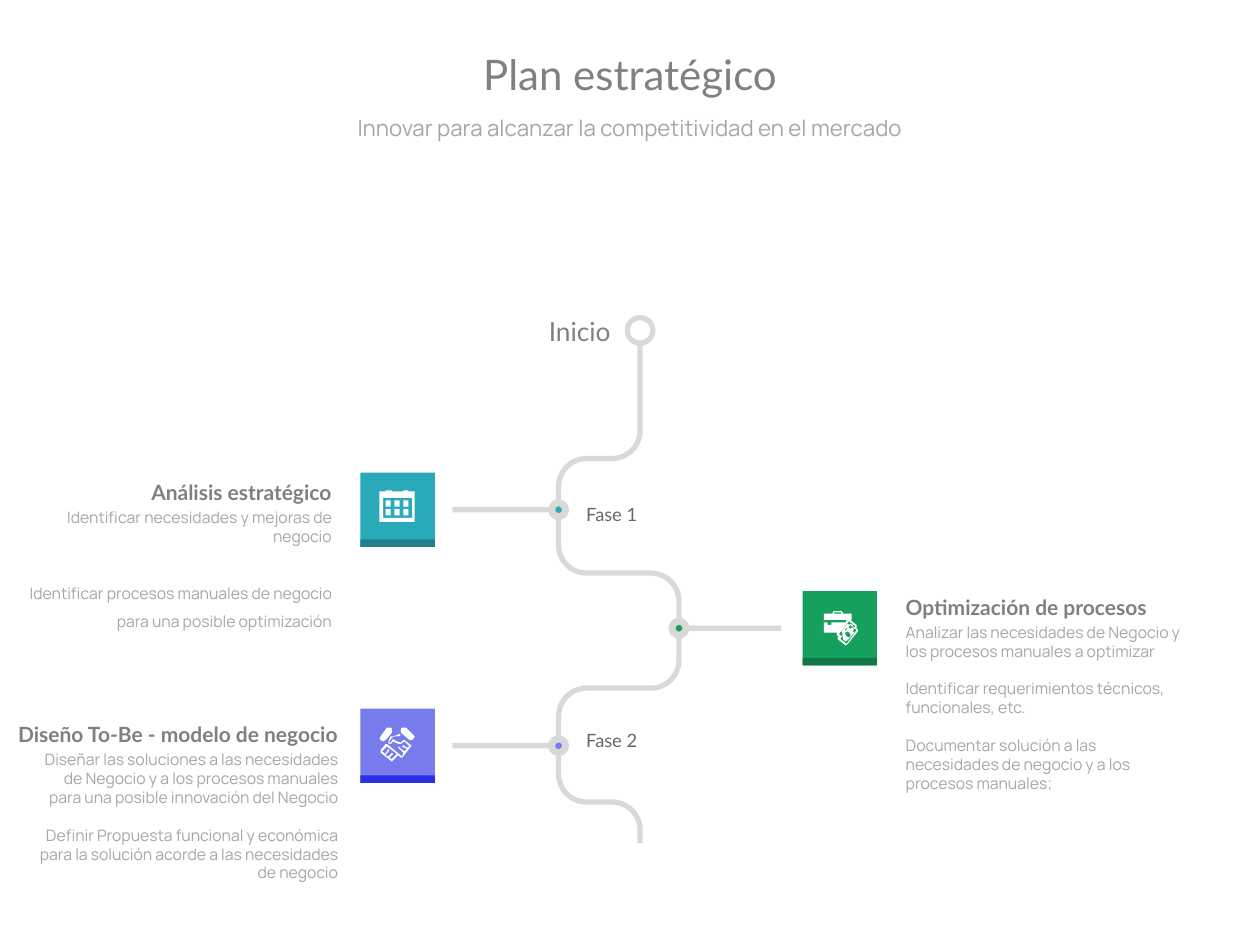
import math
from dataclasses import dataclass

from pptx import Presentation
from pptx import util as u
from pptx.dml.color import RGBColor
from pptx.enum import shapes, text

Pt = u.Pt
Point = tuple[float, float]
Contour = list[Point]
SHAPE = shapes.MSO_SHAPE
ALIGN = text.PP_ALIGN
GREY, TITLE, BODY, PHASE, WHITE = "D9D9D9", "808080", "A6A6A6", "676868", "FFFFFF"
LEFT_X, MIDDLE_X, RIGHT_X = 319.2, 365.8, 388
TILE, TILE_BASE, BAR = 42.5, 4.3, 3
ARM, DOT = 59, 8
ICON_UNIT, ROAD_UNIT = 0.72, 0.01


@dataclass
class Label:
    x: float
    y: float
    w: float
    h: float
    paragraphs: list[str]
    size: float
    font: str
    color: str
    align: ALIGN = ALIGN.LEFT
    bold: bool = False
    inset: bool = True
    wrap: bool = False
    grow: bool = True
    spacing: float = 1
    gap: float = 0
    anchor: text.MSO_ANCHOR = text.MSO_ANCHOR.TOP


@dataclass
class Phase:
    x: float
    y: float
    arm_x: float
    tile_x: float
    color: str
    dark: str
    icon: list[Contour]
    icon_dx: float
    icon_dy: float
    labels: list[Label]


def rgb(value: str) -> RGBColor:
    return RGBColor.from_string(value)


def box(x: float, y: float, w: float, h: float) -> Contour:
    return [(x, y), (x + w, y), (x + w, y + h), (x, y + h)]


def add_shape(s, kind: SHAPE, x: float, y: float, w: float, h: float,
              fill: str, line: str | None = None):
    sp = s.shapes.add_shape(kind, Pt(x), Pt(y), Pt(w), Pt(h))
    sp.shadow.inherit = False
    sp.fill.solid()
    sp.fill.fore_color.rgb = rgb(fill)
    if line:
        sp.line.color.rgb = rgb(line)
        sp.line.width = Pt(4)
    else:
        sp.line.fill.background()
    return sp


def add_label(s, label: Label) -> None:
    sp = s.shapes.add_textbox(Pt(label.x), Pt(label.y), Pt(label.w), Pt(label.h))
    tf = sp.text_frame
    tf.word_wrap = label.wrap
    tf.vertical_anchor = label.anchor
    if label.grow:
        tf.auto_size = text.MSO_AUTO_SIZE.SHAPE_TO_FIT_TEXT
    if not label.inset:
        tf.margin_left = tf.margin_right = tf.margin_top = tf.margin_bottom = 0
    for i, content in enumerate(label.paragraphs):
        p = tf.add_paragraph() if i else tf.paragraphs[0]
        p.text = content
        p.alignment = label.align
        if i or len(label.paragraphs) == 1:
            p.line_spacing = label.spacing
        if i:
            p.space_before = Pt(label.gap)
        p.font.size = Pt(label.size)
        p.font.name = label.font
        p.font.bold = label.bold
        p.font.color.rgb = rgb(label.color)


def add_icon(s, contours: list[Contour], x: float, y: float) -> None:
    first, *rest = contours
    fb = s.shapes.build_freeform(*first[0], scale=Pt(ICON_UNIT))
    fb.add_line_segments(first[1:])
    for contour in rest:
        fb.move_to(*contour[0])
        fb.add_line_segments(contour[1:])
    sp = fb.convert_to_shape(Pt(x), Pt(y))
    sp.shadow.inherit = False
    sp.fill.solid()
    sp.fill.fore_color.rgb = rgb(WHITE)
    sp.line.fill.background()


def round_corners(corners: Contour, radius: float = 16, steps: int = 12) -> Contour:
    points = [corners[0]]
    for before, corner, after in zip(corners, corners[1:], corners[2:]):
        (ax, ay), (bx, by) = [
            ((end[0] - corner[0]) / math.dist(end, corner),
             (end[1] - corner[1]) / math.dist(end, corner))
            for end in (before, after)
        ]
        for i in range(steps + 1):
            angle = math.pi / 2 * i / steps
            a, b = radius * (1 - math.sin(angle)), radius * (1 - math.cos(angle))
            points.append((corner[0] + ax * a + bx * b, corner[1] + ay * a + by * b))
    return points + [corners[-1]]


def add_road(s, corners: Contour) -> None:
    points = [(x / ROAD_UNIT, y / ROAD_UNIT) for x, y in round_corners(corners)]
    fb = s.shapes.build_freeform(*points[0], scale=Pt(ROAD_UNIT))
    fb.add_line_segments(points[1:], close=False)
    sp = fb.convert_to_shape()
    sp.shadow.inherit = False
    sp.fill.background()
    sp.line.color.rgb = rgb(GREY)
    sp.line.width = Pt(BAR)


def add_phase(s, phase: Phase) -> None:
    add_shape(s, SHAPE.RECTANGLE, phase.arm_x, phase.y - BAR / 2, ARM, BAR, GREY)
    add_shape(s, SHAPE.OVAL, phase.x - DOT / 2, phase.y - DOT / 2, DOT, DOT, phase.color, GREY)
    top = phase.y - TILE / 2
    add_shape(s, SHAPE.RECTANGLE, phase.tile_x, top, TILE, TILE, phase.color)
    add_shape(s, SHAPE.RECTANGLE, phase.tile_x, top + TILE - TILE_BASE, TILE, TILE_BASE, phase.dark)
    add_icon(s, phase.icon, phase.tile_x + phase.icon_dx, top + phase.icon_dy)
    for label in phase.labels:
        add_label(s, label)


def heading(x: float, y: float, w: float, content: str, align: ALIGN) -> Label:
    return Label(x, y, w, 21.6, [content], 12, "Lato", TITLE, align, bold=True)


def details(x: float, y: float, w: float, h: float, paragraphs: list[str],
            align: ALIGN, spacing: float = 1) -> Label:
    return Label(x, y, w, h, paragraphs, 9, "Manrope", BODY, align,
                 wrap=True, spacing=spacing, gap=10.8 * spacing)


CALENDAR = [
    [(28, 1), (28, 25), (0, 25), (0, 1), (5, 1), (5, 0), (10, 0), (10, 1), (19, 1), (19, 0), (23, 0), (23, 1)],
    box(3, 6, 23, 16),
    *[box(5 + 7 * col, 8 + 7 * row, 4, 5) for row in range(2) for col in range(3)],
]
BRIEFCASE = [
    [(27, 15), (27, 16), (19, 26), (18, 27), (17, 27), (12, 23), (11, 22), (11, 21), (12, 20), (11, 20),
     (10, 18), (11, 17), (0, 17), (0, 9), (3, 9), (3, 11), (6, 11), (6, 9), (17, 9), (17, 10), (18, 7),
     (0, 7), (0, 2), (7, 2), (7, 1), (8, 0), (14, 0), (15, 1), (15, 2), (22, 2), (22, 7), (21, 7),
     (26, 11), (26, 14), (27, 14)],
    box(8, 1, 6, 1),
    [(12, 18), (14, 20), (15, 18), (14, 16), (19, 10), (20, 11), (21, 10), (23, 11), (23, 12), (24, 13),
     (25, 12), (20, 8)],
    [(26, 15), (21, 11), (13, 22), (18, 26)],
    [(21, 14), (22, 13), (24, 14), (23, 16), (24, 17), (19, 23), (17, 24), (15, 22), (15, 20), (19, 13)],
    [(17, 14), (17, 16), (19, 13)],
    [(20, 17), (19, 16), (17, 17), (17, 18), (18, 20), (20, 21), (21, 20), (21, 18)],
]
HANDSHAKE = [
    [(1, 10), (0, 9), (1, 7), (6, 0), (9, 0), (10, 1), (10, 4), (5, 10), (3, 11)],
    [(25, 15), (18, 24), (17, 24), (15, 22), (14, 23), (10, 27), (1, 20), (1, 18), (5, 13), (6, 13),
     (18, 23), (19, 20), (15, 16), (15, 15), (20, 19), (22, 17), (18, 15), (19, 14), (22, 16), (24, 15),
     (20, 11), (17, 13), (15, 13), (11, 11), (9, 13), (8, 13), (7, 12), (8, 9), (9, 7), (11, 7), (14, 6),
     (16, 5), (17, 6), (15, 7), (12, 7), (10, 8), (8, 11), (8, 12), (9, 12), (11, 9), (12, 10), (14, 11),
     (17, 12), (19, 10), (20, 10), (25, 14), (26, 15)],
    [(14, 21), (6, 15), (2, 19), (5, 21), (7, 17), (8, 18), (5, 22), (7, 23), (10, 20), (11, 21), (8, 24),
     (10, 25)],
    [(28, 7), (27, 9), (26, 10), (24, 10), (17, 4), (17, 1), (18, 0), (21, 0), (27, 6)],
]
PHASES = [
    Phase(LEFT_X, 291.3, 258.5, 206, "29AAB9", "1F7F8B", CALENDAR, 10.8, 10.1, [
        heading(67.7, 270.7, 128.9, "Análisis estratégico", ALIGN.RIGHT),
        details(7.2, 286.6, 189.4, 78.5, [
            "Identificar necesidades y mejoras de negocio",
            "Identificar procesos manuales de negocio para una posible optimización",
        ], ALIGN.RIGHT, 1.5)]),
    Phase(RIGHT_X, 359, 387.4, 458.6, "16A05D", "107846", BRIEFCASE, 12.2, 11.5, [
        heading(510.5, 336.2, 165.6, "Optimización de procesos", ALIGN.LEFT),
        details(510.5, 352.1, 172.8, 105, [
            "Analizar las necesidades de Negocio y los procesos manuales a optimizar",
            "Identificar requerimientos técnicos, funcionales, etc.",
            "Documentar solución a las necesidades de negocio y a los procesos manuales;",
        ], ALIGN.LEFT)]),
    Phase(LEFT_X, 426.2, 258.5, 206, "787BEC", "2A2FE1", HANDSHAKE, 10.8, 10.8, [
        heading(0, 409, 200.2, "Diseño To-Be - modelo de negocio", ALIGN.RIGHT),
        details(10.8, 424.8, 189.4, 83.5, [
            "Diseñar las soluciones a las necesidades de Negocio y a los procesos manuales "
            "para una posible innovación del Negocio",
            "Definir Propuesta funcional y económica para la solución acorde a las necesidades de negocio",
        ], ALIGN.RIGHT)]),
]
LABELS = [
    Label(49.7, 19.6, 620.6, 48.2, ["Plan estratégico"], 24, "Lato", TITLE, ALIGN.CENTER,
          wrap=True, grow=False, spacing=0.9, anchor=text.MSO_ANCHOR.MIDDLE),
    Label(90, 63.4, 540, 38.2, ["Innovar para alcanzar la competitividad en el mercado"], 12.7, "Manrope",
          BODY, ALIGN.CENTER, wrap=True, grow=False, spacing=0.9),
    Label(313.6, 180, 40, 18, ["Inicio"], 15, "Lato", TITLE, inset=False),
    Label(335, 287.3, 34, 13, ["Fase 1"], 10.5, "Lato", PHASE, inset=False),
    Label(335, 416.5, 34, 13, ["Fase 2"], 10.5, "Lato", PHASE, inset=False),
]


def main() -> None:
    prs = Presentation()
    prs.slide_width, prs.slide_height = Pt(720), Pt(540)
    s = prs.slides.add_slide(prs.slide_layouts[6])
    add_road(s, [(MIDDLE_X, 196.6), (MIDDLE_X, 262), (LEFT_X, 262), (LEFT_X, 327.5), (RIGHT_X, 327.5), (RIGHT_X, 357.3)])
    add_road(s, [(RIGHT_X, 357.3), (RIGHT_X, 393.2), (LEFT_X, 393.2), (LEFT_X, 458.3), (MIDDLE_X, 458.3), (MIDDLE_X, 481.7)])
    ring = add_shape(s, SHAPE.DONUT, 357, 180, 17.6, 17.6, GREY)
    ring.adjustments[0] = 0.17
    for label in LABELS:
        add_label(s, label)
    for phase in PHASES:
        add_phase(s, phase)
    prs.save("out.pptx")


if __name__ == "__main__":
    main()
